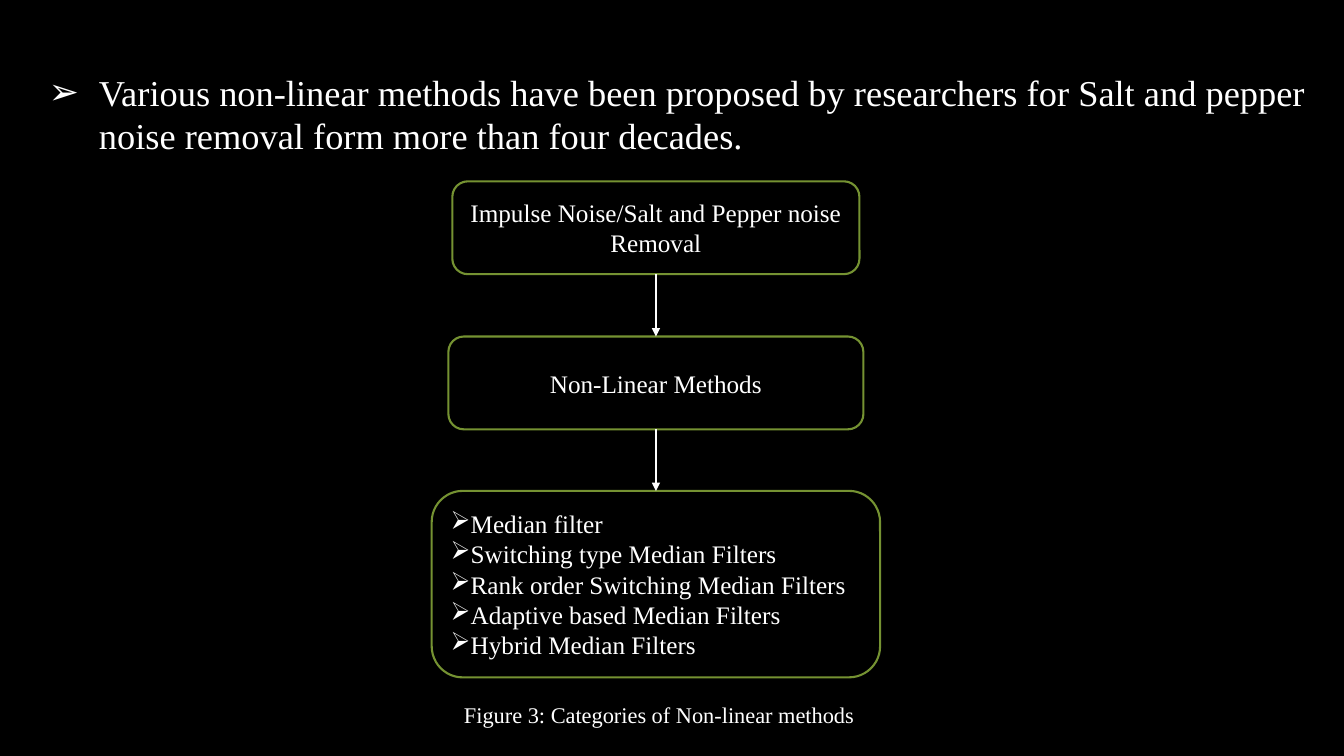
import pptx
import pptx.dml.color
import pptx.enum.shapes
import pptx.enum.text
import pptx.oxml.ns
import pptx.util
import lxml.etree

Cm = pptx.util.Cm
Pt = pptx.util.Pt
ALIGN = pptx.enum.text.PP_ALIGN
ANCHOR = pptx.enum.text.MSO_ANCHOR
qn = pptx.oxml.ns.qn

CENTER = 16.53


def color(value):
    return pptx.dml.color.RGBColor.from_string(value)


class FlowSlide:
    font = "Times New Roman"
    back, ink, border = "000000", "FFFFFF", "759232"

    def __init__(self, prs):
        self.s = prs.slides.add_slide(prs.slide_layouts[1])
        title = self.s.shapes.title
        title.element.getparent().remove(title.element)
        fill = self.s.background.fill
        fill.solid()
        fill.fore_color.rgb = color(self.back)

    def set_text(self, tf, lines, size, align, bullet=False, indent=0):
        tf.word_wrap = True
        tf.text = "\n".join(lines)
        for p in tf.paragraphs:
            p.alignment = align
            p.space_before = Pt(0)
            for r in p.runs:
                r.font.name = self.font
                r.font.size = Pt(size)
                r.font.color.rgb = color(self.ink)
            if bullet:
                pPr = p._p.get_or_add_pPr()
                pPr.set("marL", str(Cm(indent)))
                pPr.set("indent", str(-Cm(indent)))
                lxml.etree.SubElement(pPr, qn("a:buChar")).set("char", "➢")

    def body(self, x, y, w, h, lines):
        sp = self.s.placeholders[1]
        sp.left, sp.top, sp.width, sp.height = Cm(x), Cm(y), Cm(w), Cm(h)
        tf = sp.text_frame
        tf.auto_size = pptx.enum.text.MSO_AUTO_SIZE.NONE
        tf.vertical_anchor = ANCHOR.TOP
        self.set_text(tf, lines, 26, ALIGN.LEFT, True, 1.27)

    def box(self, y, w, h, lines, bullet=False):
        sp = self.s.shapes.add_shape(
            pptx.enum.shapes.MSO_SHAPE.ROUNDED_RECTANGLE,
            Cm(CENTER - w / 2), Cm(y), Cm(w), Cm(h))
        sp.shadow.inherit = False
        sp.fill.background()
        sp.line.color.rgb = color(self.border)
        sp.line.width = Pt(1.5)
        sp.text_frame.vertical_anchor = ANCHOR.MIDDLE
        align = ALIGN.LEFT if bullet else ALIGN.CENTER
        self.set_text(sp.text_frame, lines, 18, align, bullet)
        return sp

    def arrow(self, upper, lower):
        line = self.s.shapes.add_connector(
            pptx.enum.shapes.MSO_CONNECTOR.STRAIGHT, 0, 0, 0, 0)
        line.begin_connect(upper, 2)
        line.end_connect(lower, 0)
        line.line.color.rgb = color(self.ink)
        line.line.width = Pt(1)
        spPr = line._element.spPr
        ln = spPr.find(qn("a:ln"))
        lxml.etree.SubElement(ln, qn("a:tailEnd")).set("type", "triangle")
        lxml.etree.SubElement(spPr, qn("a:effectLst"))

    def caption(self, x, y, w, h, text):
        sp = self.s.shapes.add_textbox(Cm(x), Cm(y), Cm(w), Cm(h))
        self.set_text(sp.text_frame, [text], 16, ALIGN.CENTER)


def main():
    prs = pptx.Presentation()
    prs.slide_width, prs.slide_height = Cm(33.87), Cm(19.05)
    slide = FlowSlide(prs)
    slide.body(0.97, 1.63, 32.64, 2.7, [
        "Various non-linear methods have been proposed by researchers for "
        "Salt and pepper noise removal form more than four decades."])
    problem = slide.box(4.57, 10.26, 2.34, ["Impulse Noise/Salt and Pepper noise Removal"])
    methods = slide.box(8.48, 10.46, 2.34, ["Non-Linear Methods"])
    filters = slide.box(12.37, 11.3, 4.7, [
        "Median filter",
        "Switching type Median Filters",
        "Rank order Switching Median Filters",
        "Adaptive based Median Filters",
        "Hybrid Median Filters",
    ], bullet=True)
    slide.arrow(problem, methods)
    slide.arrow(methods, filters)
    slide.caption(9.7, 17.55, 13.82, 0.94, "Figure 3: Categories of Non-linear methods")
    prs.save("out.pptx")


if __name__ == "__main__":
    main()
